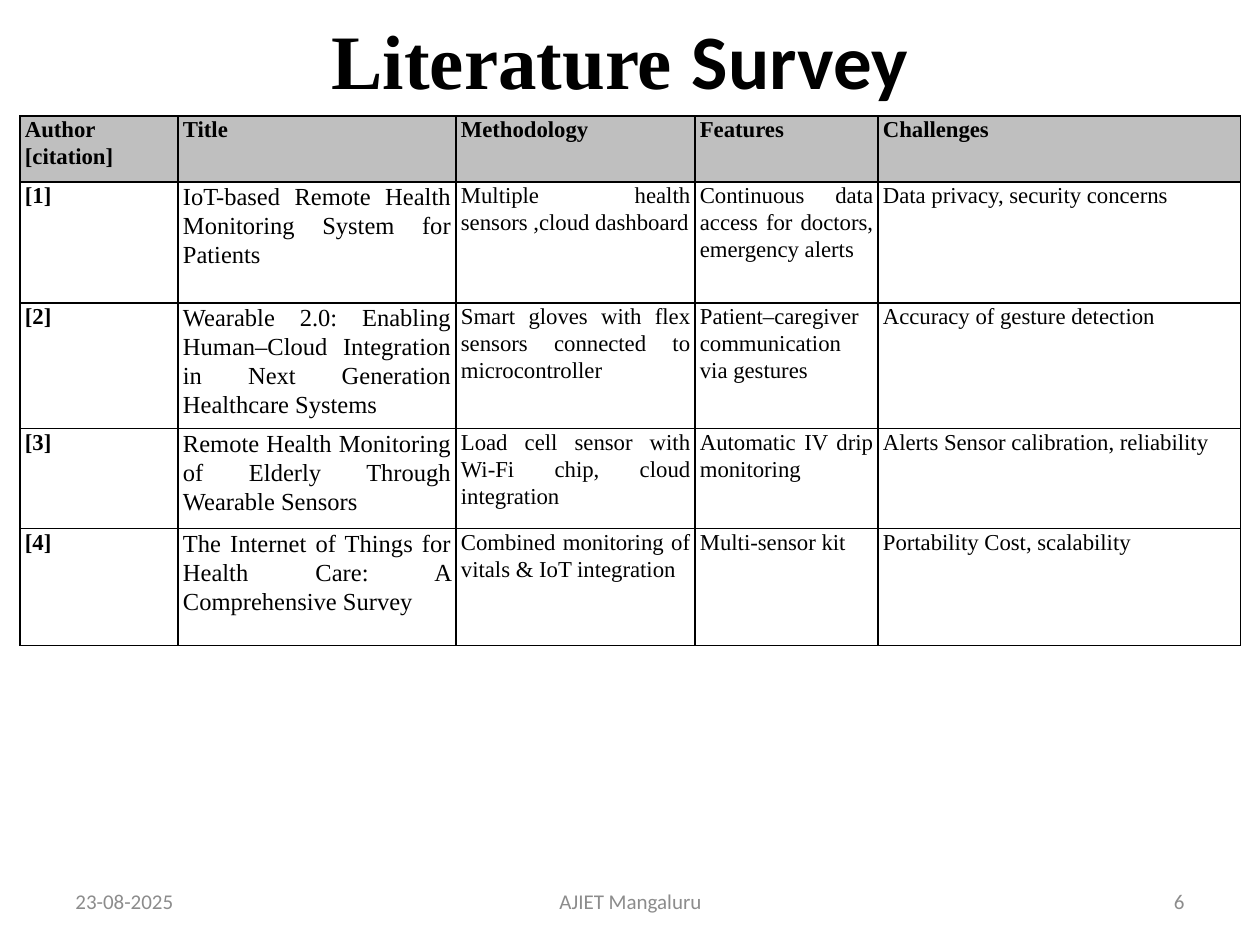
from pptx import Presentation
from pptx.dml.color import RGBColor
from pptx.enum.text import MSO_ANCHOR, PP_ALIGN
from pptx.oxml import parse_xml
from pptx.oxml.ns import nsdecls
from pptx.util import Pt

LEFT, CENTER, RIGHT, JUSTIFY = PP_ALIGN.LEFT, PP_ALIGN.CENTER, PP_ALIGN.RIGHT, PP_ALIGN.JUSTIFY
MIDDLE = MSO_ANCHOR.MIDDLE
PX = 914400 / 126
SERIF, SANS = "Times New Roman", "Calibri"
COLORS = {"ink": "000000", "footer": "8C8C8C", "header": "BFBFBF"}

TITLE = [("Literature ", SERIF), ("Survey", SANS)]
TITLE_BOX = (53, -20, 1134, 158)
FOOTERS = [
    ("AJIET Mangaluru", (431, 876, 399, 50), CENTER),
    ("23-08-2025", (63, 876, 294, 50), LEFT),
    ("6", (903, 876, 294, 50), RIGHT),
]
SURVEY = [
    ("Author [citation]", "Title", "Methodology", "Features", "Challenges"),
    ("[1]", "IoT-based Remote Health Monitoring System for Patients",
     "Multiple health sensors ,cloud dashboard",
     "Continuous data access for doctors, emergency alerts",
     "Data privacy, security concerns"),
    ("[2]", "Wearable 2.0: Enabling Human–Cloud Integration in Next Generation Healthcare Systems",
     "Smart gloves with flex sensors connected to microcontroller",
     "Patient–caregiver communication via gestures",
     "Accuracy of gesture detection"),
    ("[3]", "Remote Health Monitoring of Elderly Through Wearable Sensors",
     "Load cell sensor with Wi-Fi chip, cloud integration",
     "Automatic IV drip monitoring",
     "Alerts Sensor calibration, reliability"),
    ("[4]", "The Internet of Things for Health Care: A Comprehensive Survey",
     "Combined monitoring of vitals & IoT integration",
     "Multi-sensor kit",
     "Portability Cost, scalability"),
]
TABLE_CORNER = (20, 116)
COLUMN_WIDTHS = (158, 278, 239, 183, 363)
ROW_HEIGHTS = (66, 121, 116, 100, 117)
CELL_INSET = 5


def px(length):
    return round(length * PX)


def write(frame, runs, size, color="ink", bold=False, align=LEFT):
    frame.word_wrap = True
    paragraph = frame.paragraphs[0]
    paragraph.alignment = align
    for text, font_name in runs:
        run = paragraph.add_run()
        run.text = text
        run.font.name = font_name
        run.font.size = Pt(size)
        run.font.bold = bold
        run.font.color.rgb = RGBColor.from_string(COLORS[color])
    return paragraph


def add_text(slide, box, runs, **style):
    frame = slide.shapes.add_textbox(*map(px, box)).text_frame
    frame.vertical_anchor = MIDDLE
    write(frame, runs, **style)


def set_borders(cell):
    properties = cell._tc.get_or_add_tcPr()
    for index, side in enumerate(("lnL", "lnR", "lnT", "lnB")):
        properties.insert(index, parse_xml(
            f'<a:{side} {nsdecls("a")} w="9525"><a:solidFill>'
            f'<a:srgbClr val="{COLORS["ink"]}"/></a:solidFill></a:{side}>'))


def add_survey(slide):
    extent = (sum(COLUMN_WIDTHS), sum(ROW_HEIGHTS))
    table = slide.shapes.add_table(
        len(SURVEY), len(COLUMN_WIDTHS), *map(px, TABLE_CORNER + extent)).table
    table.first_row = table.horz_banding = False
    for column, width in zip(table.columns, COLUMN_WIDTHS):
        column.width = px(width)
    for row, height in zip(table.rows, ROW_HEIGHTS):
        row.height = px(height)
    for r, entries in enumerate(SURVEY):
        for c, entry in enumerate(entries):
            cell = table.cell(r, c)
            cell.margin_left = cell.margin_right = px(CELL_INSET)
            cell.margin_top = cell.margin_bottom = 0
            header = r == 0
            paper_title = c == 1 and not header
            if header:
                cell.fill.solid()
                cell.fill.fore_color.rgb = RGBColor.from_string(COLORS["header"])
            else:
                cell.fill.background()
            set_borders(cell)
            paragraph = write(
                cell.text_frame, [(entry, SERIF)],
                size=14 if paper_title else 13,
                bold=header or c == 0,
                align=LEFT if header and c else JUSTIFY)
            paragraph.line_spacing = 1.07
            paragraph.space_after = Pt(0 if paper_title else 8)


def main():
    deck = Presentation()
    deck.slide_width, deck.slide_height = px(1260), px(945)
    slide = deck.slides.add_slide(deck.slide_layouts[6])
    add_text(slide, TITLE_BOX, TITLE, size=44, bold=True, align=CENTER)
    for text, box, align in FOOTERS:
        add_text(slide, box, [(text, SANS)], size=12, color="footer", align=align)
    add_survey(slide)
    deck.save("out.pptx")


if __name__ == "__main__":
    main()
